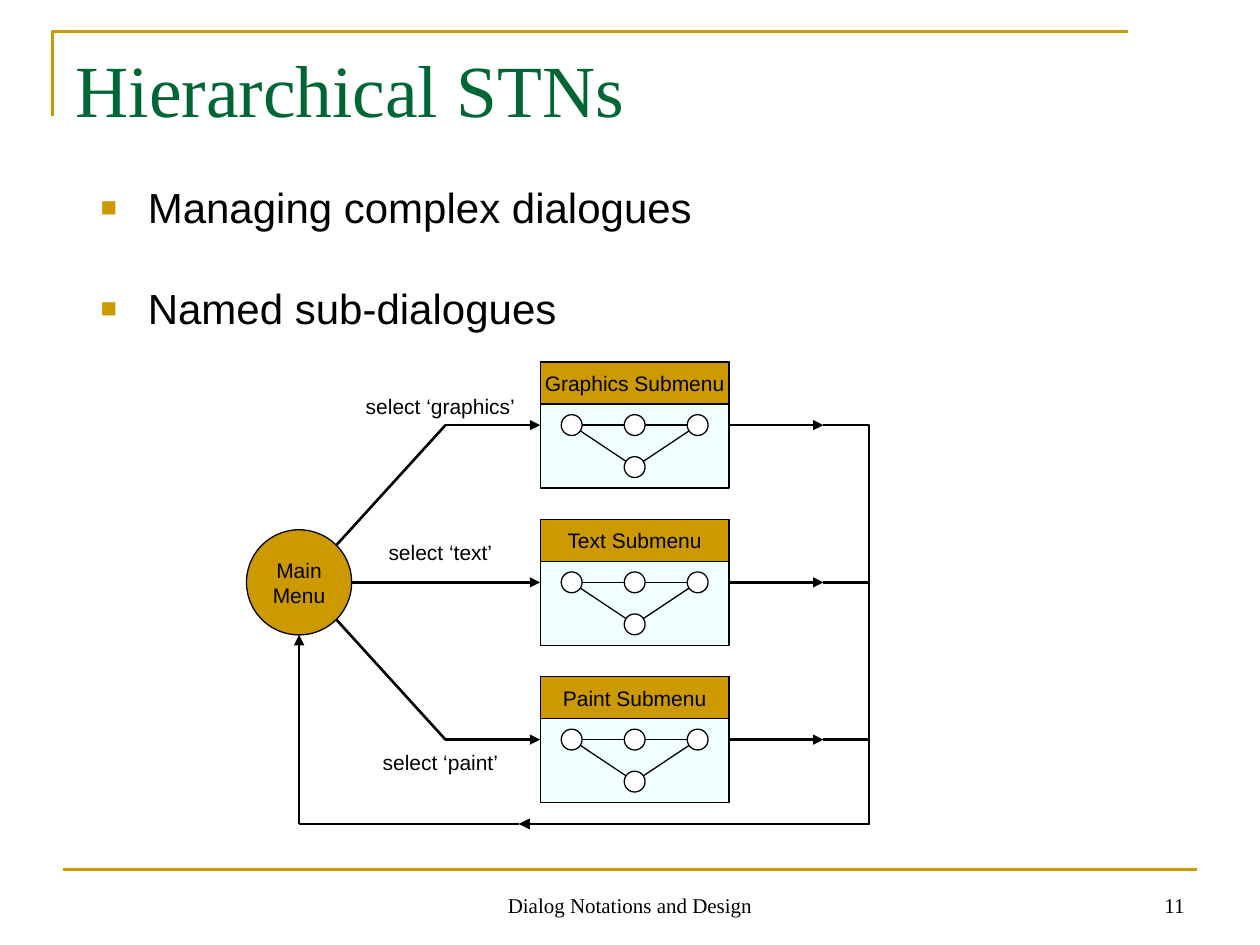
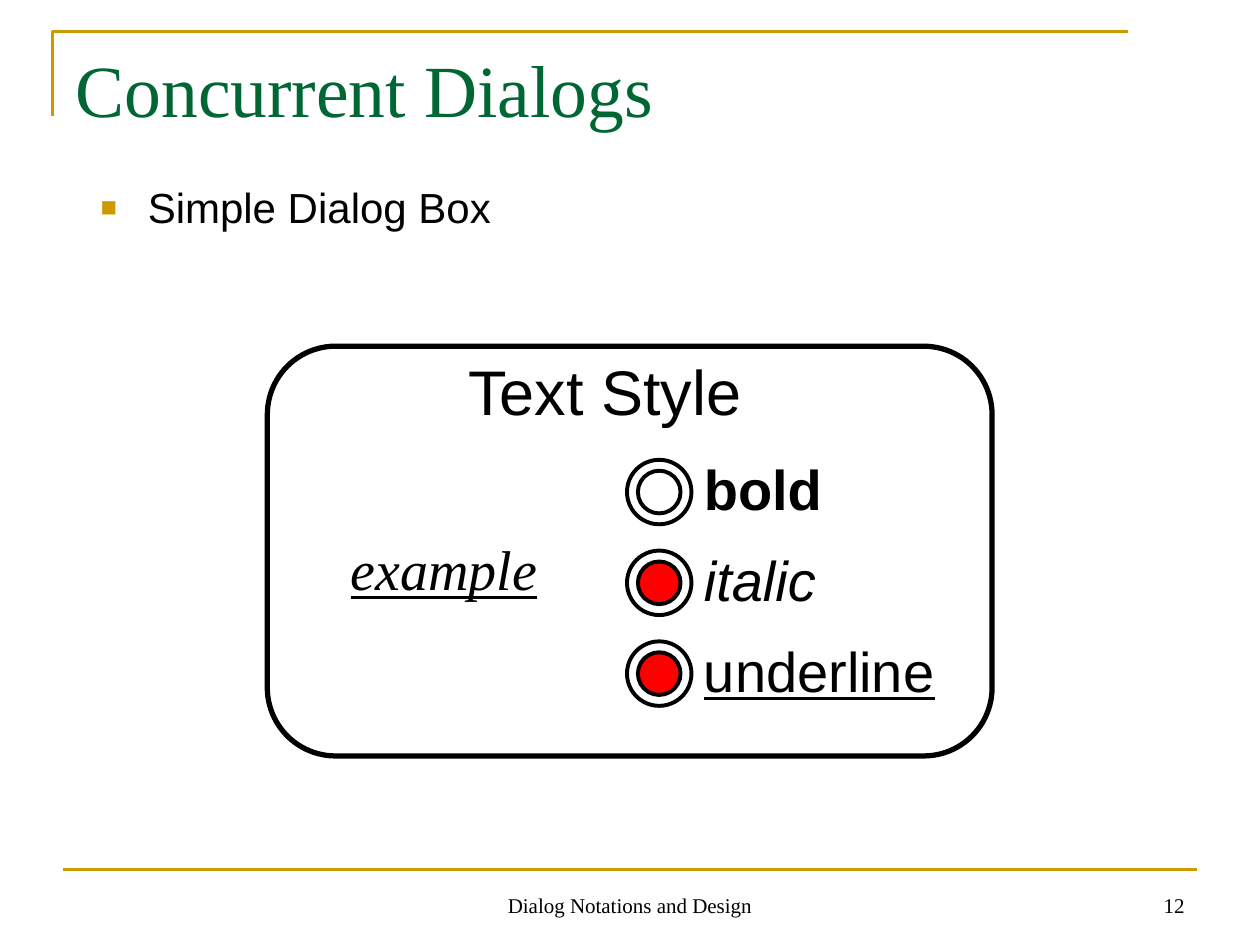
import pptx
import pptx.dml.color
import pptx.enum.shapes
import pptx.enum.text
import pptx.oxml
import pptx.oxml.ns
import pptx.util

Cm, Pt = pptx.util.Cm, pptx.util.Pt
RGB = pptx.dml.color.RGBColor
SHAPE = pptx.enum.shapes.MSO_SHAPE
CONNECTOR = pptx.enum.shapes.MSO_CONNECTOR
ALIGN = pptx.enum.text.PP_ALIGN
ANCHOR = pptx.enum.text.MSO_ANCHOR
qn = pptx.oxml.ns.qn

GREEN = RGB(0x00, 0x66, 0x33)
GOLD = RGB(0xCC, 0x99, 0x00)
AZURE = RGB(0xF0, 0xFF, 0xFF)
RED = RGB(0xFF, 0x00, 0x00)
BLACK = RGB(0x00, 0x00, 0x00)
WHITE = RGB(0xFF, 0xFF, 0xFF)
SANS, SERIF = "Arial", "Times New Roman"
FOOTER = "Dialog Notations and Design"


def add_xml(parent, tag, **attributes):
    child = parent.makeelement(qn(tag), attributes)
    parent.append(child)
    return child


def style_text(tf, size, font=SANS, color=BLACK, align=ALIGN.LEFT,
               bold=False, italic=False, underline=False):
    for p in tf.paragraphs:
        p.alignment = align
        for r in p.runs:
            r.font.name, r.font.size = font, Pt(size)
            r.font.color.rgb = color
            r.font.bold, r.font.italic = bold, italic
            r.font.underline = underline


def add_text(s, text, left, top, width, height, size, wrap=False,
             anchor=ANCHOR.TOP, **style):
    tf = s.shapes.add_textbox(Cm(left), Cm(top), Cm(width), Cm(height)).text_frame
    tf.word_wrap = wrap
    tf.vertical_anchor = anchor
    tf.text = text
    style_text(tf, size, **style)
    return tf


def add_shape(s, kind, left, top, width, height, fill, weight=0.75, text=None):
    sp = s.shapes.add_shape(kind, Cm(left), Cm(top), Cm(width), Cm(height))
    sp.shadow.inherit = False
    sp.fill.solid()
    sp.fill.fore_color.rgb = fill
    sp.line.color.rgb = BLACK
    sp.line.width = Pt(weight)
    if text:
        tf = sp.text_frame
        tf.word_wrap = False
        tf.vertical_anchor = ANCHOR.MIDDLE
        tf.text = text
        style_text(tf, 12, align=ALIGN.CENTER)
    return sp


def add_line(s, x1, y1, x2, y2, weight=1.5, color=BLACK, arrow=False, bend=None):
    """Draw a straight line, or an elbow that turns at the fraction bend."""
    kind = CONNECTOR.STRAIGHT if bend is None else CONNECTOR.ELBOW
    c = s.shapes.add_connector(kind, Cm(x1), Cm(y1), Cm(x2), Cm(y2))
    c.line.color.rgb = color
    c.line.width = Pt(weight)
    spPr = c.element.spPr
    if arrow:
        add_xml(spPr.find(qn("a:ln")), "a:tailEnd", type="triangle")
    if bend is not None:
        add_xml(spPr.find(qn("a:prstGeom")).find(qn("a:avLst")), "a:gd",
                name="adj1", fmla=f"val {round(bend * 100000)}")
    add_xml(spPr, "a:effectLst")


def add_frame(s, number):
    """Draw the corner rule, the footer rule and the footer texts."""
    fb = s.shapes.build_freeform(Cm(1.06), Cm(2.33))
    fb.add_line_segments([(Cm(1.06), Cm(0.63)), (Cm(22.73), Cm(0.63))], close=False)
    corner = fb.convert_to_shape()
    corner.shadow.inherit = False
    corner.fill.background()
    corner.line.color.rgb = GOLD
    corner.line.width = Pt(1.5)
    add_line(s, 1.27, 17.53, 24.13, 17.53, color=GOLD)
    for text, left, width, align in ((FOOTER, 8.68, 8.04, ALIGN.CENTER),
                                     (str(number), 18.2, 5.93, ALIGN.RIGHT)):
        add_text(s, text, left, 17.36, width, 1.27, 12, wrap=True,
                 anchor=ANCHOR.BOTTOM, font=SERIF, align=align)


def add_title(s, text):
    title = s.shapes.title
    title.left, title.top = Cm(1.27), Cm(0.76)
    title.width, title.height = Cm(22.86), Cm(3.18)
    tf = title.text_frame
    tf.auto_size = pptx.enum.text.MSO_AUTO_SIZE.NONE
    tf.vertical_anchor = ANCHOR.TOP
    tf.text = text
    style_text(tf, 42, font=SERIF, color=GREEN)


def add_bullets(s, items):
    tf = add_text(s, "\n".join(items), 1.78, 2.72, 23.62, 13.72, 24, wrap=True)
    for i, p in enumerate(tf.paragraphs):
        p.line_spacing = 1.8
        if i:
            p.space_before = Pt(6)
        pPr = p._p.get_or_add_pPr()
        pPr.set("marL", str(Cm(0.95)))
        pPr.set("indent", str(-Cm(0.95)))
        add_xml(add_xml(pPr, "a:buClr"), "a:srgbClr", val=str(GOLD))
        add_xml(pPr, "a:buSzPct", val="65000")
        add_xml(pPr, "a:buFont", typeface=SANS)
        add_xml(pPr, "a:buChar", char="■")


def add_slide(prs, number, title, bullets):
    s = prs.slides.add_slide(prs.slide_layouts[5])
    add_frame(s, number)
    add_title(s, title)
    add_bullets(s, bullets)
    return s


def add_submenu(s, left, top, width, height, name):
    """Draw a named box that holds a small network of four states."""
    add_shape(s, SHAPE.RECTANGLE, left, top, width, height, AZURE)
    add_shape(s, SHAPE.RECTANGLE, left, top, width, height / 3, GOLD, text=name)
    upper, lower = top + height / 2, top + height * 5 / 6
    first, middle, last = (left + width * k / 6 for k in (1, 3, 5))
    add_line(s, first, upper, middle, lower, 0.75)
    add_line(s, last, upper, middle, lower, 0.75)
    add_line(s, last, upper, first, upper, 0.75)
    d = 0.42
    for x, y in ((first, upper), (middle, upper), (last, upper), (middle, lower)):
        add_shape(s, SHAPE.OVAL, x - d / 2, y - d / 2, d, d, WHITE)


def add_menu_network(s, left, top):
    """Draw the main menu, its three submenus and the way back."""
    pitch, box_w, box_h, radius, label_w = 3.17, 3.81, 2.54, 1.06, 4
    box_x = left + 5.92
    main_x, main_y = left + radius, top + box_h / 2 + pitch
    fork_x, exit_x, rail_x = left + 4.01, left + 11.63, left + 12.55
    return_x, return_y = left + 5.5, top + 9.31
    bend = (exit_x - rail_x) / (exit_x - return_x)
    submenus = (("Graphics Submenu", "select ‘graphics’", 0.5),
                ("Text Submenu", "select ‘text’", 3.45),
                ("Paint Submenu", "select ‘paint’", 7.69))

    add_shape(s, SHAPE.OVAL, main_x - radius, main_y - radius,
              2 * radius, 2 * radius, GOLD, text="Main\vMenu")
    for i, (name, label, label_y) in enumerate(submenus):
        y = main_y + (i - 1) * pitch
        add_submenu(s, box_x, y - box_h / 2, box_w, box_h, name)
        if i == 1:
            start_x = main_x + radius
        else:
            start_x = fork_x
            add_line(s, main_x + 0.75, main_y + (i - 1) * 0.75, fork_x, y)
        add_line(s, start_x, y, box_x, y, arrow=True)
        add_text(s, label, left + 3.91 - label_w / 2, top + label_y,
                 label_w, 0.76, 12, align=ALIGN.CENTER)
        add_line(s, box_x + box_w, y, exit_x, y, arrow=True)
        add_line(s, exit_x, y, return_x, return_y, arrow=True, bend=bend)
    add_line(s, return_x, return_y, main_x, return_y)
    add_line(s, main_x, return_y, main_x, main_y + radius, arrow=True)


def add_style_dialog(s, left, top, width, height):
    """Draw the dialog box with its sample and three toggles."""
    add_shape(s, SHAPE.ROUNDED_RECTANGLE, left, top, width, height, WHITE, 3)
    add_text(s, "Text Style", left + 3.8, top, 6.15, 1.78, 36)
    add_text(s, "example", left + 1.43, top + 3.68, 4.27, 1.63, 32,
             font=SERIF, italic=True, underline=True)
    toggles = (("bold", 2.9, WHITE), ("italic", 2.77, RED), ("underline", 5.16, RED))
    ring, gap = 1.3, 0.22
    x = left + 7.25
    for i, (name, text_w, fill) in enumerate(toggles):
        y = top + 2.29 + i * 1.83
        add_shape(s, SHAPE.OVAL, x, y, ring, ring, WHITE, 2.25)
        add_shape(s, SHAPE.OVAL, x + gap, y + gap, ring - 2 * gap,
                  ring - 2 * gap, fill, 2.25)
        add_text(s, name, x + ring, y - 0.23, text_w, 1.63, 32, **{name: True})


def main():
    prs = pptx.Presentation()
    prs.slide_width, prs.slide_height = Cm(25.4), Cm(19.05)
    s = add_slide(prs, 11, "Hierarchical STNs",
                  ["Managing complex dialogues", "Named sub-dialogues"])
    add_menu_network(s, 4.97, 7.3)
    s = add_slide(prs, 12, "Concurrent Dialogs", ["Simple Dialog Box"])
    add_style_dialog(s, 5.39, 6.98, 14.61, 8.26)
    prs.save("out.pptx")


if __name__ == "__main__":
    main()
